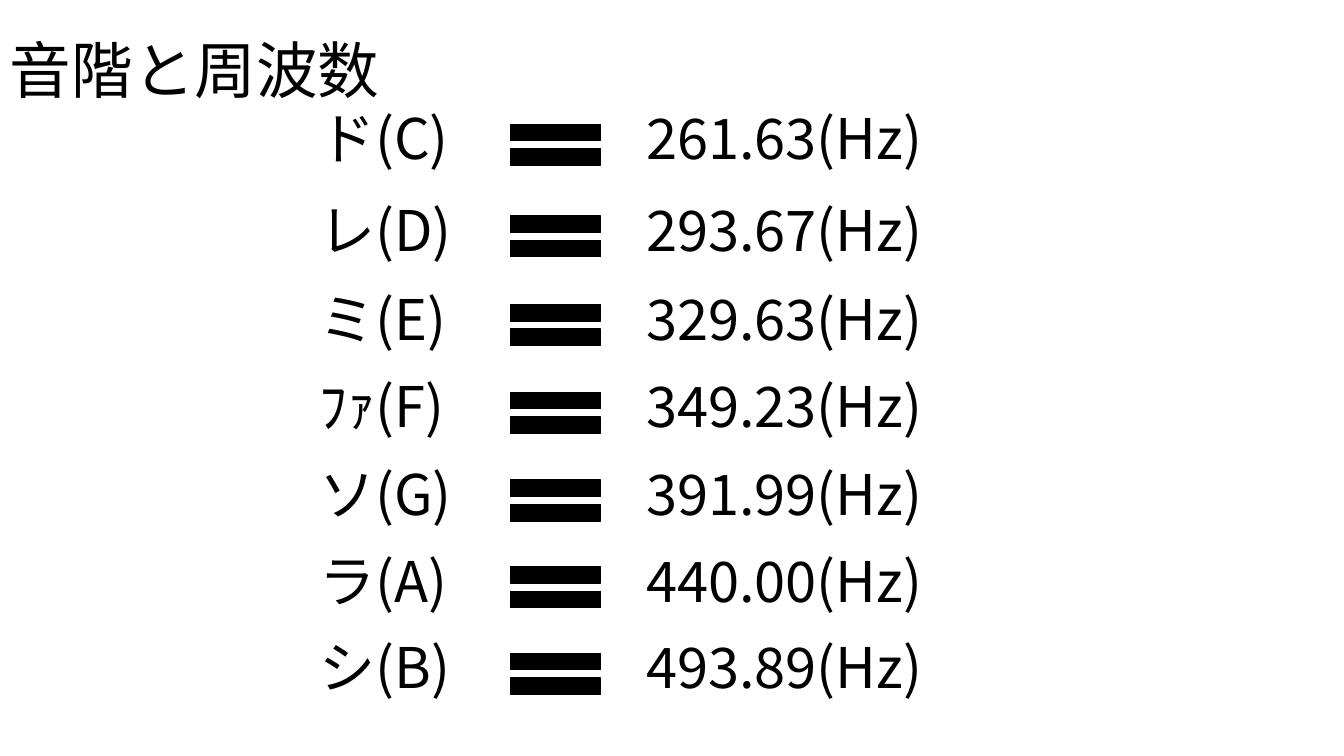
from lxml.etree import SubElement
from pptx import Presentation
from pptx.dml.color import RGBColor
from pptx.enum.shapes import MSO_SHAPE
from pptx.enum.text import MSO_ANCHOR
from pptx.oxml.ns import qn
from pptx.util import Inches, Pt

TITLE = "音階と周波数"
# Row top in inches, note, frequency
SCALE = [
    (0.98, "ド(C)", "261.63(Hz)"),
    (1.89, "レ(D)", "293.67(Hz)"),
    (2.77, "ミ(E)", "329.63(Hz)"),
    (3.64, "ﾌｧ(F)", "349.23(Hz)"),
    (4.51, "ソ(G)", "391.99(Hz)"),
    (5.37, "ラ(A)", "440.00(Hz)"),
    (6.23, "シ(B)", "493.89(Hz)"),
]
# Column left and width in inches
COLUMNS = {"note": (3.07, 2.09), "equals": (4.9, 1.22), "frequency": (6.31, 3.95)}
ROW_HEIGHT = 0.82
EQUALS_DROP, EQUALS_HEIGHT = 0.11, 0.69
FONT = "Noto Sans CJK JP"
BLACK = "000000"


def color(value):
    return RGBColor.from_string(value)


def add_text(shapes, text, left, top, width, height, size):
    box = shapes.add_textbox(*map(Inches, (left, top, width, height)))
    box.text_frame.word_wrap = True
    para = box.text_frame.paragraphs[0]
    span = para.add_run()
    span.text = text
    for name, value in {"name": FONT, "size": Pt(size)}.items():
        setattr(span.font, name, value)
    span.font.color.rgb = color(BLACK)
    # Japanese glyphs take the East Asian typeface
    SubElement(span.font._element, qn("a:ea"), typeface=FONT)
    return box


def add_equals(shapes, left, top, width, height):
    sign = shapes.add_shape(MSO_SHAPE.MATH_EQUAL, *map(Inches, (left, top, width, height)))
    sign.shadow.inherit = False
    sign.fill.solid()
    sign.fill.fore_color.rgb = color(BLACK)
    sign.line.color.rgb = color(BLACK)
    sign.line.width = Pt(1)


def add_row(shapes, top, note, frequency):
    for name, text in (("note", note), ("frequency", frequency)):
        left, width = COLUMNS[name]
        add_text(shapes, text, left, top, width, ROW_HEIGHT, 40)
    left, width = COLUMNS["equals"]
    add_equals(shapes, left, top + EQUALS_DROP, width, EQUALS_HEIGHT)


def main():
    deck = Presentation()
    deck.slide_width, deck.slide_height = Inches(13.33), Inches(7.5)
    page = deck.slides.add_slide(deck.slide_layouts[6])
    title = add_text(page.shapes, TITLE, 0, 0, 11.5, 1.45, 44)
    title.text_frame.vertical_anchor = MSO_ANCHOR.MIDDLE
    title.text_frame.paragraphs[0].line_spacing = 0.9
    table_group = page.shapes.add_group_shape()
    for row in SCALE:
        add_row(table_group.shapes, *row)
    deck.save("out.pptx")


if __name__ == "__main__":
    main()
